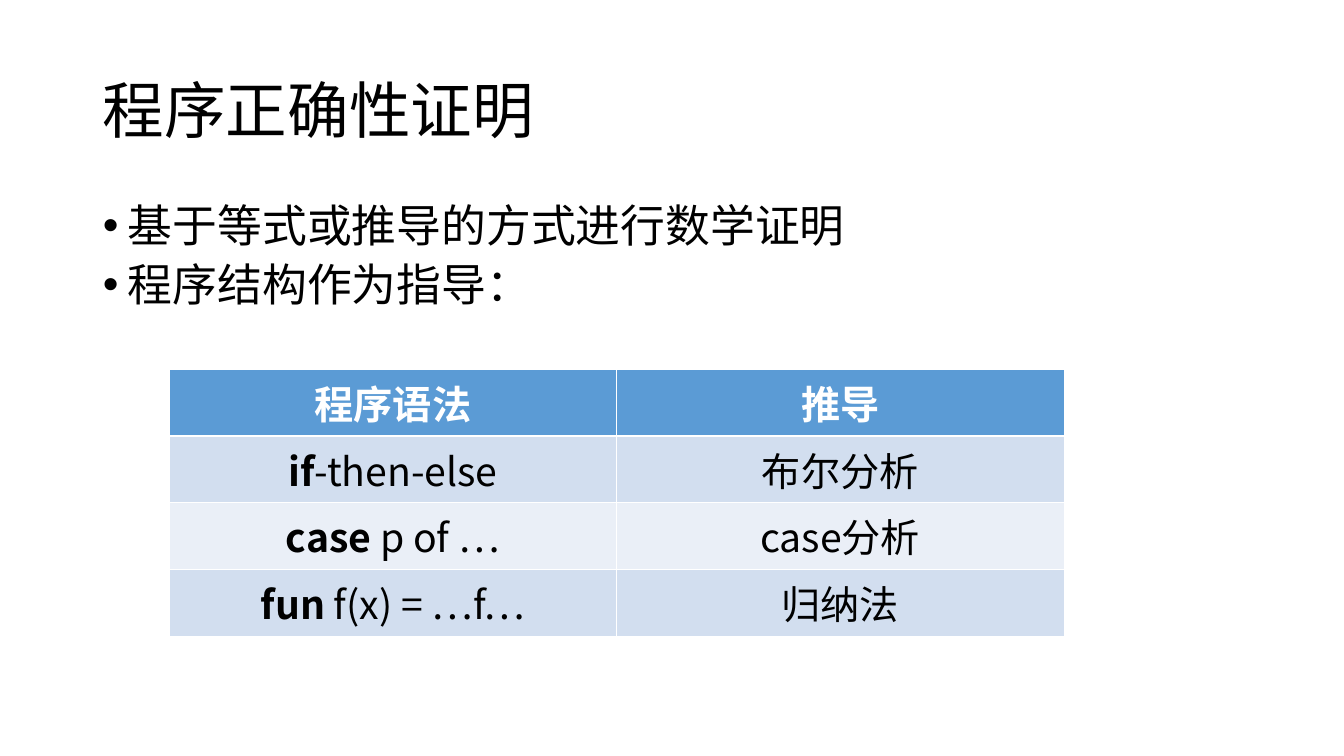
from lxml import etree
from pptx import Presentation
from pptx.dml.color import RGBColor
from pptx.enum.text import MSO_ANCHOR, MSO_AUTO_SIZE, PP_ALIGN
from pptx.oxml.ns import qn
from pptx.util import Inches, Pt

LEFT, CENTER = PP_ALIGN.LEFT, PP_ALIGN.CENTER
MIDDLE, TOP = MSO_ANCHOR.MIDDLE, MSO_ANCHOR.TOP
NO_FIT = MSO_AUTO_SIZE.NONE

BLACK = RGBColor(0x00, 0x00, 0x00)
WHITE = RGBColor(0xFF, 0xFF, 0xFF)
HEADER_BLUE = RGBColor(0x5B, 0x9B, 0xD5)
BAND_DARK = RGBColor(0xD2, 0xDE, 0xEF)
BAND_LIGHT = RGBColor(0xEA, 0xEF, 0xF7)
CJK = "Noto Sans CJK SC"


def format_run(r, size, color=BLACK, bold=False, latin=CJK):
    r.font.size = Pt(size)
    r.font.bold = bold
    r.font.color.rgb = color
    r.font.name = latin
    ea = etree.SubElement(r.font._element, qn("a:ea"))
    ea.set("typeface", CJK)


def add_border(cell, side, width):
    tcPr = cell._tc.get_or_add_tcPr()
    ln = etree.SubElement(tcPr, qn(f"a:{side}"), w=str(Pt(width)))
    fill = etree.SubElement(ln, qn("a:solidFill"))
    etree.SubElement(fill, qn("a:srgbClr"), val=str(WHITE))


prs = Presentation()
prs.slide_width = Inches(13.34)
prs.slide_height = Inches(7.5)
s = prs.slides.add_slide(prs.slide_layouts[1])

title = s.shapes.title
title.left, title.top = Inches(0.92), Inches(0.4)
title.width, title.height = Inches(11.5), Inches(1.45)
tf = title.text_frame
tf.text = "程序正确性证明"
tf.auto_size = NO_FIT
tf.vertical_anchor = MIDDLE
p = tf.paragraphs[0]
p.alignment = LEFT
p.line_spacing = 0.9
format_run(p.runs[0], 44, latin="Arial")

body = s.placeholders[1]
body.left, body.top = Inches(0.92), Inches(2)
body.width, body.height = Inches(11.5), Inches(1.32)
tf = body.text_frame
tf.text = "基于等式或推导的方式进行数学证明\n程序结构作为指导："
tf.auto_size = NO_FIT
tf.vertical_anchor = TOP
for p in tf.paragraphs:
    p.line_spacing = 0.84
    p.space_before = Pt(10)
    pPr = p._p.get_or_add_pPr()
    pPr.set("marL", str(Inches(0.25)))
    pPr.set("indent", str(Inches(-0.25)))
    format_run(p.runs[0], 32)

rows = [
    [("程序语法", ""), ("推导", "")],
    [("if", "-then-else"), ("", "布尔分析")],
    [("case ", "p of …"), ("", "case分析")],
    [("fun", " f(x) = …f…"), ("", "归纳法")],
]
fills = [HEADER_BLUE, BAND_DARK, BAND_LIGHT, BAND_DARK]
table = s.shapes.add_table(
    len(rows), 2, Inches(1.68), Inches(3.66), Inches(8.88), Inches(2.64)
).table
for i, row in enumerate(rows):
    for j, (keyword, rest) in enumerate(row):
        cell = table.cell(i, j)
        p = cell.text_frame.paragraphs[0]
        p.alignment = CENTER
        for text, bold in ((keyword, True), (rest, False)):
            if text:
                r = p.add_run()
                r.text = text
                format_run(r, 28, BLACK if i else WHITE, bold)
        for side in ("lnL", "lnR", "lnT", "lnB"):
            thick = (i, side) in ((0, "lnB"), (1, "lnT"))
            add_border(cell, side, 1.5 if thick else 0.45)
        cell.fill.solid()
        cell.fill.fore_color.rgb = fills[i]

prs.save("out.pptx")
